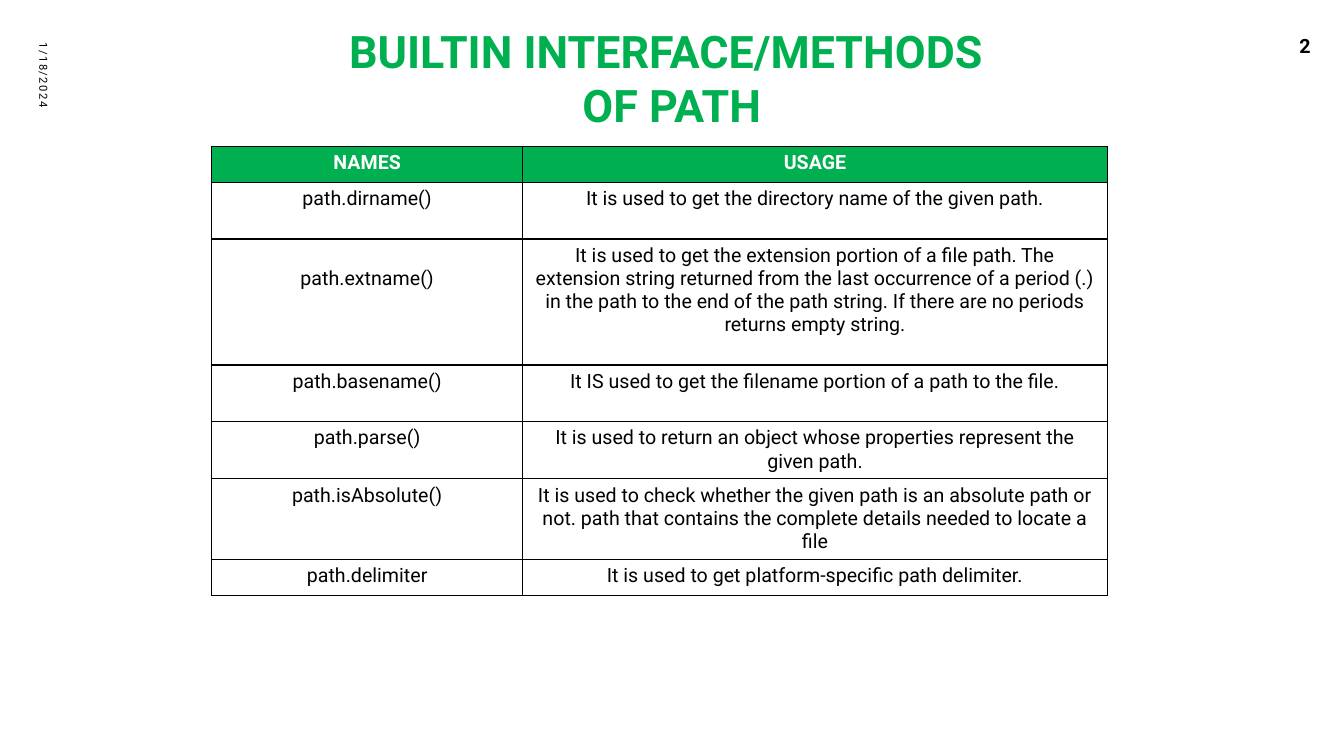
from dataclasses import dataclass

from lxml import etree
from pptx import Presentation
from pptx.dml.color import RGBColor
from pptx.enum import text
from pptx.oxml import ns
from pptx.util import Pt

GREEN = RGBColor(0x00, 0xB0, 0x50)
WHITE = RGBColor(0xFF, 0xFF, 0xFF)
BLACK = RGBColor(0x00, 0x00, 0x00)
FONT = "Roboto"
BODY_SIZE = 14
LINE_HEIGHT = 16.4
CELL_MARGIN = 3.6
COLUMN_WIDTHS = (222.2, 417.6)


@dataclass
class Style:
    size: float
    color: RGBColor = BLACK
    bold: bool = False
    spacing: float = 0


@dataclass
class Label:
    lines: tuple[str, ...]
    left: float
    top: float
    width: float
    height: float
    style: Style
    align: text.PP_ALIGN
    anchor: text.MSO_ANCHOR = text.MSO_ANCHOR.MIDDLE
    rotation: float = 0


@dataclass
class Row:
    name: str
    usage: str
    height: float
    name_drop: float = 0


LABELS = (
    Label(("BUILTIN INTERFACE/METHODS ", "OF PATH"), 65.5, 15.1, 828.7, 82.1,
          Style(32, GREEN, True), text.PP_ALIGN.CENTER, text.MSO_ANCHOR.BOTTOM),
    Label(("1/18/2024",), -13.7, 54, 90, 28.8,
          Style(8, spacing=1), text.PP_ALIGN.LEFT, rotation=90),
    Label(("2",), 887, 18, 56.2, 28.8,
          Style(14, bold=True, spacing=1), text.PP_ALIGN.RIGHT),
)

ROWS = (
    Row("NAMES", "USAGE", 25.7),
    Row("path.dirname()", "It is used to get the directory name of the given path.", 40.4),
    Row("path.extname()",
        "It is used to get the extension portion of a file path. The extension string "
        "returned from the last occurrence of a period (.) in the path to the end of the "
        "path string. If there are no periods returns empty string.", 90, LINE_HEIGHT),
    Row("path.basename()",
        "It IS used to get the filename portion of a path to the file.", 40.4),
    Row("path.parse()",
        "It is used to return an object whose properties represent the given path.", 40.4),
    Row("path.isAbsolute()",
        "It is used to check whether the given path is an absolute path or not. path that "
        "contains the complete details needed to locate a file", 57.1),
    Row("path.delimiter", "It is used to get platform-specific path delimiter.", 25.7),
)


def add_run(p, content: str, style: Style) -> None:
    r = p.add_run()
    r.text = content
    r.font.name = FONT
    r.font.size = Pt(style.size)
    r.font.bold = style.bold
    r.font.color.rgb = style.color
    if style.spacing:
        r.font._element.set("spc", str(round(style.spacing * 100)))


def add_label(s, label: Label) -> None:
    sp = s.shapes.add_textbox(Pt(label.left), Pt(label.top), Pt(label.width), Pt(label.height))
    sp.rotation = label.rotation
    tf = sp.text_frame
    tf.word_wrap = True
    tf.vertical_anchor = label.anchor
    p = tf.paragraphs[0]
    p.alignment = label.align
    for i, line in enumerate(label.lines):
        if i:
            p.add_line_break()
        add_run(p, line, label.style)


def add_borders(cell) -> None:
    tc_pr = cell._tc.get_or_add_tcPr()
    for side in ("a:lnL", "a:lnR", "a:lnT", "a:lnB"):
        ln = etree.SubElement(tc_pr, ns.qn(side), w=str(Pt(1)))
        fill = etree.SubElement(ln, ns.qn("a:solidFill"))
        etree.SubElement(fill, ns.qn("a:srgbClr"), val=str(BLACK))


def fill_cell(cell, content: str, style: Style, background: RGBColor, drop: float = 0) -> None:
    add_borders(cell)
    cell.fill.solid()
    cell.fill.fore_color.rgb = background
    cell.margin_top = Pt(CELL_MARGIN + drop)
    cell.margin_bottom = Pt(CELL_MARGIN)
    p = cell.text_frame.paragraphs[0]
    p.alignment = text.PP_ALIGN.CENTER
    add_run(p, content, style)


def add_methods_table(s) -> None:
    height = sum(row.height for row in ROWS)
    table = s.shapes.add_table(len(ROWS), len(COLUMN_WIDTHS), Pt(151.2), Pt(104.6),
                               Pt(sum(COLUMN_WIDTHS)), Pt(height)).table
    table.horz_banding = False
    for column, width in zip(table.columns, COLUMN_WIDTHS):
        column.width = Pt(width)
    for i, row in enumerate(ROWS):
        table.rows[i].height = Pt(row.height)
        style = Style(BODY_SIZE) if i else Style(BODY_SIZE, WHITE, True)
        background = WHITE if i else GREEN
        fill_cell(table.cell(i, 0), row.name, style, background, row.name_drop)
        fill_cell(table.cell(i, 1), row.usage, style, background)


def main() -> None:
    prs = Presentation()
    prs.slide_width, prs.slide_height = Pt(960), Pt(540)
    s = prs.slides.add_slide(prs.slide_layouts[6])
    for label in LABELS:
        add_label(s, label)
    add_methods_table(s)
    prs.save("out.pptx")


if __name__ == "__main__":
    main()
